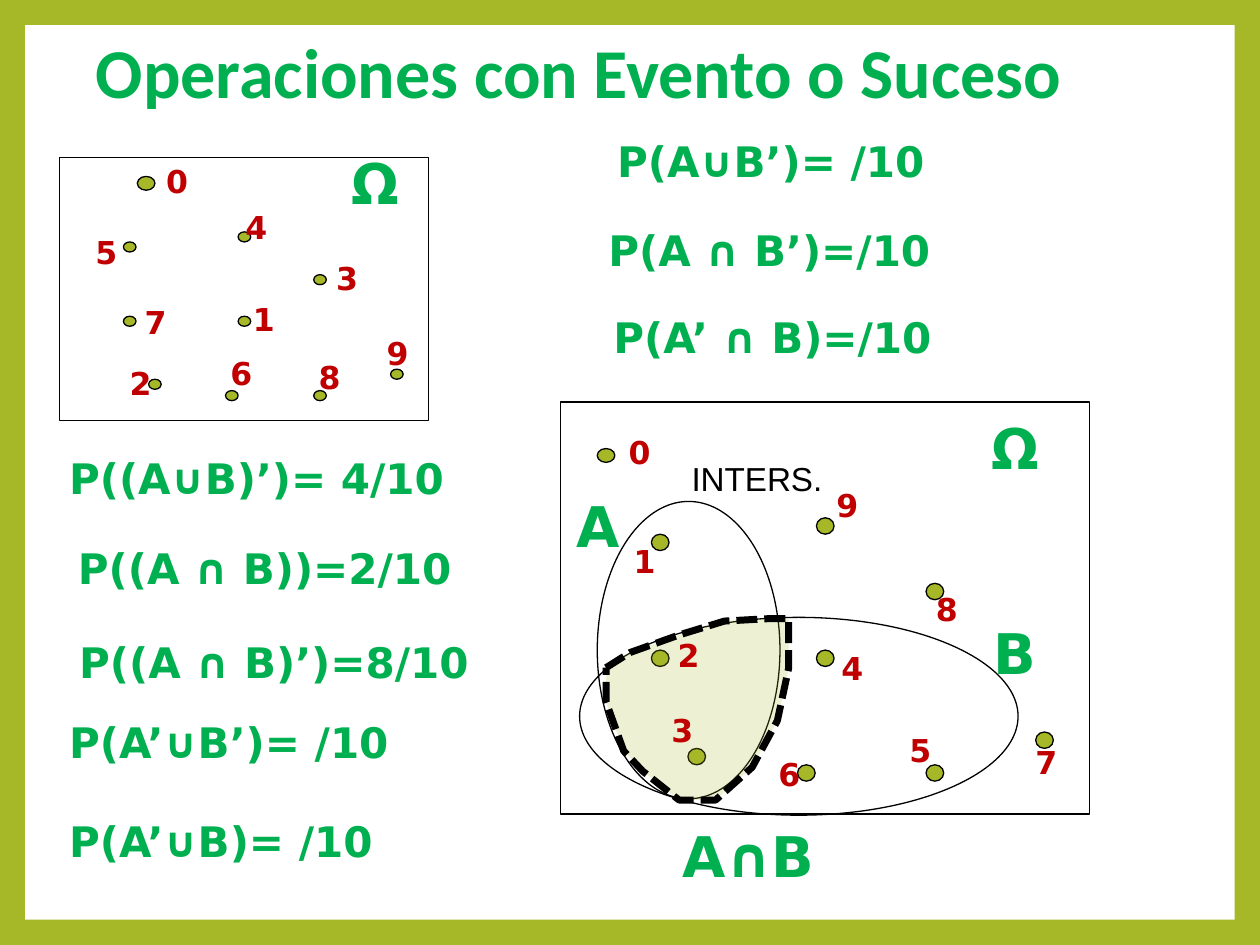
from dataclasses import dataclass

from lxml import etree
from pptx import Presentation
from pptx.dml.color import RGBColor
from pptx.enum.dml import MSO_LINE
from pptx.enum.shapes import MSO_SHAPE
from pptx.enum.text import MSO_ANCHOR, MSO_AUTO_SIZE, PP_ALIGN
from pptx.oxml.ns import qn
from pptx.shapes.autoshape import Shape
from pptx.shapes.shapetree import GroupShapes, SlideShapes
from pptx.util import Pt

RECTANGLE = MSO_SHAPE.RECTANGLE
OVAL = MSO_SHAPE.OVAL
DOTTED = MSO_LINE.SQUARE_DOT
MIDDLE = MSO_ANCHOR.MIDDLE
CENTER = PP_ALIGN.CENTER
GROW = MSO_AUTO_SIZE.SHAPE_TO_FIT_TEXT

OLIVE = RGBColor(0xA6, 0xB7, 0x27)
WHITE = RGBColor(0xFF, 0xFF, 0xFF)
BLACK = RGBColor(0x00, 0x00, 0x00)
GREEN = RGBColor(0x00, 0xB0, 0x50)
RED = RGBColor(0xC0, 0x00, 0x00)

PX = 9144
SYMBOL_FONT = "DejaVu Sans"


@dataclass(frozen=True)
class Box:
    left: int
    top: int
    width: int
    height: int

    def emu(self) -> tuple[int, ...]:
        return tuple(v * PX for v in (self.left, self.top, self.width, self.height))


@dataclass(frozen=True)
class Style:
    size: int
    color: RGBColor
    font: str = SYMBOL_FONT
    bold: bool = True


@dataclass(frozen=True)
class Label:
    text: str
    box: Box
    style: Style
    wrap: bool = True


@dataclass(frozen=True)
class Outcome:
    number: int
    dot: tuple[int, int]
    label: tuple[int, int]


@dataclass(frozen=True)
class Diagram:
    frame: Box
    dot_size: tuple[int, int]
    outcomes: tuple[Outcome, ...]
    sets: tuple[Box, ...] = ()
    intersection: tuple[tuple[int, int], ...] = ()


TITLE = Style(40, GREEN, "Calibri")
NUMBER = Style(18, RED)
SET_NAME = Style(32, GREEN)
FORMULA = Style(24, GREEN)
CAPTION = Style(19, BLACK, "Arial", False)
ZERO_SIZE = (14, 11)

EVENTS = Diagram(
    Box(445, 319, 420, 327),
    (14, 13),
    (
        Outcome(0, (474, 356), (489, 339)),
        Outcome(1, (517, 424), (493, 425)),
        Outcome(2, (517, 516), (528, 500)),
        Outcome(3, (546, 594), (523, 559)),
        Outcome(4, (648, 516), (658, 510)),
        Outcome(5, (735, 607), (712, 575)),
        Outcome(6, (633, 607), (608, 594)),
        Outcome(7, (822, 581), (812, 585)),
        Outcome(8, (735, 463), (733, 463)),
        Outcome(9, (648, 411), (654, 381)),
    ),
    (Box(474, 398, 145, 236), Box(460, 490, 348, 157)),
    (
        (481, 530), (500, 518), (539, 504), (575, 493), (611, 491), (626, 491),
        (626, 517), (626, 530), (617, 572), (597, 609), (568, 635), (553, 635),
        (539, 635), (510, 612), (495, 596), (481, 557), (481, 544),
    ),
)
SAMPLE_SPACE = Diagram(
    Box(47, 125, 293, 209),
    (10, 8),
    (
        Outcome(0, (109, 140), (122, 124)),
        Outcome(1, (189, 251), (191, 233)),
        Outcome(2, (118, 301), (93, 284)),
        Outcome(3, (249, 218), (257, 201)),
        Outcome(4, (189, 184), (185, 160)),
        Outcome(5, (98, 192), (66, 180)),
        Outcome(6, (179, 310), (173, 276)),
        Outcome(7, (98, 251), (105, 236)),
        Outcome(8, (249, 310), (243, 279)),
        Outcome(9, (310, 293), (297, 260)),
    ),
)
LABELS = (
    Label("INTERS.", Box(539, 359, 246, 42), CAPTION),
    Label("Ω", Box(269, 113, 58, 64), SET_NAME, False),
    Label("Ω", Box(777, 323, 58, 64), SET_NAME, False),
    Label("B", Box(779, 486, 54, 64), SET_NAME, False),
    Label("A", Box(448, 385, 55, 64), SET_NAME, False),
    Label("A∩B", Box(532, 647, 159, 64), SET_NAME),
)
FORMULAS = (
    ("P((A∪B)’)= 4/10", 45, 354),
    ("P((A ∩ B))=2/10", 52, 426),
    ("P((A ∩ B)’)=8/10", 53, 500),
    ("P(A’∪B’)= /10", 45, 564),
    ("P(A’∪B)= /10", 45, 642),
    ("P(A∪B’)= /10", 480, 103),
    ("P(A ∩ B’)=/10", 473, 173),
    ("P(A’ ∩ B)=/10", 477, 242),
)


def draw_shape(shapes: GroupShapes, kind: MSO_SHAPE, box: Box, fill: RGBColor | None = None) -> None:
    shape = shapes.add_shape(kind, *box.emu())
    shape.shadow.inherit = False
    shape.line.color.rgb = BLACK
    shape.line.width = Pt(0.75)
    if fill is None:
        shape.fill.background()
    else:
        shape.fill.solid()
        shape.fill.fore_color.rgb = fill


def draw_intersection(shapes: GroupShapes, points: tuple[tuple[int, int], ...]) -> None:
    builder = shapes.build_freeform(*points[0], scale=PX)
    builder.add_line_segments(points[1:], close=True)
    region = builder.convert_to_shape()
    region.shadow.inherit = False
    region.fill.solid()
    region.fill.fore_color.rgb = OLIVE
    color = region.fill._xPr.find(qn("a:solidFill"))[0]
    etree.SubElement(color, qn("a:alpha"), val="20000")
    region.line.color.rgb = BLACK
    region.line.width = Pt(4)
    region.line.dash_style = DOTTED


def draw_label(shapes: SlideShapes, label: Label) -> Shape:
    text_box = shapes.add_textbox(*label.box.emu())
    frame = text_box.text_frame
    frame.word_wrap = label.wrap
    frame.auto_size = GROW
    paragraph = frame.paragraphs[0]
    paragraph.text = label.text
    paragraph.font.name = label.style.font
    paragraph.font.size = Pt(label.style.size)
    paragraph.font.bold = label.style.bold
    paragraph.font.color.rgb = label.style.color
    return text_box


def draw_title(shapes: SlideShapes) -> None:
    label = Label("Operaciones con Evento o Suceso", Box(21, -4, 877, 129), TITLE)
    frame = draw_label(shapes, label).text_frame
    frame.auto_size = MSO_AUTO_SIZE.NONE
    frame.vertical_anchor = MIDDLE
    frame.paragraphs[0].alignment = CENTER
    frame.paragraphs[0].line_spacing = 0.9


def draw_diagram(shapes: SlideShapes, diagram: Diagram) -> None:
    group = shapes.add_group_shape().shapes
    draw_shape(group, RECTANGLE, diagram.frame)
    for outcome in diagram.outcomes:
        size = diagram.dot_size if outcome.number else ZERO_SIZE
        draw_shape(group, OVAL, Box(*outcome.dot, *size), OLIVE)
    for event in diagram.sets:
        draw_shape(group, OVAL, event)
    if diagram.intersection:
        draw_intersection(group, diagram.intersection)
    for outcome in diagram.outcomes:
        draw_label(shapes, Label(str(outcome.number), Box(*outcome.label, 43, 40), NUMBER))


def main() -> None:
    presentation = Presentation()
    presentation.slide_width = 1000 * PX
    presentation.slide_height = 750 * PX
    slide = presentation.slides.add_slide(presentation.slide_layouts[6])
    slide.background.fill.solid()
    slide.background.fill.fore_color.rgb = OLIVE
    panel = slide.shapes.add_shape(RECTANGLE, *Box(20, 20, 960, 710).emu())
    panel.shadow.inherit = False
    panel.fill.solid()
    panel.fill.fore_color.rgb = WHITE
    panel.line.fill.background()
    draw_title(slide.shapes)
    for diagram in (EVENTS, SAMPLE_SPACE):
        draw_diagram(slide.shapes, diagram)
    for label in LABELS:
        draw_label(slide.shapes, label)
    for text, left, top in FORMULAS:
        draw_label(slide.shapes, Label(text, Box(left, top, 354, 50), FORMULA))
    presentation.save("out.pptx")


if __name__ == "__main__":
    main()
